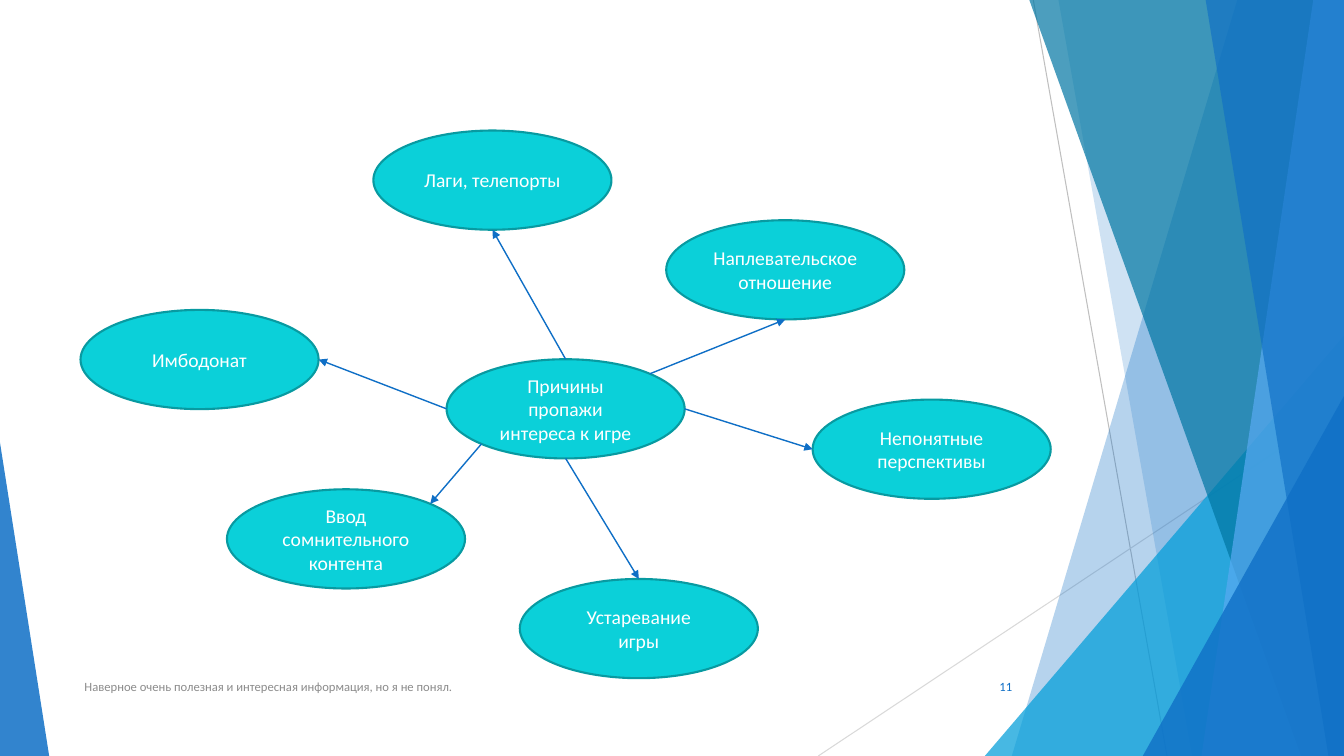
from dataclasses import dataclass
from math import cos, radians, sin

from lxml import etree
from pptx import Presentation
from pptx.dml.color import RGBColor
from pptx.enum.shapes import MSO_CONNECTOR, MSO_SHAPE
from pptx.enum.text import MSO_ANCHOR, PP_ALIGN
from pptx.oxml.ns import qn
from pptx.util import Cm, Pt

SLIDE_W, SLIDE_H = 33.87, 19.05
OVAL_W, OVAL_H = 6.0, 2.5
GRID_X, GRID_Y = 2.03, 3.29
STEP_X, STEP_Y = 3.69, 2.26
FONT = "Calibri"
BLUE = "0F6FC6"
TOP, LEFT, BOTTOM_LEFT, BOTTOM, RIGHT, TOP_RIGHT = 0, 2, 3, 4, 6, 7


@dataclass
class Panel:
    top_x: float
    bottom_x: float
    color: str
    opacity: int


@dataclass
class Wedge:
    left: float
    top: float
    width: float
    apex: int
    color: str
    opacity: int


@dataclass
class Bubble:
    text: str
    column: float
    row: float
    exit_site: int = 0
    entry_site: int = 0

    @property
    def left(self) -> float:
        return GRID_X + STEP_X * self.column

    @property
    def top(self) -> float:
        return GRID_Y + STEP_Y * self.row

    def site(self, index: int) -> tuple[float, float]:
        angle = radians(90 + 45 * index)
        return (self.left + OVAL_W / 2 * (1 + cos(angle)),
                self.top + OVAL_H / 2 * (1 - sin(angle)))


BACKDROP = [
    Panel(31.19, 25.5, BLUE, 30),
    Panel(26.67, 30.05, BLUE, 20),
    Wedge(24.82, 8.46, 9.05, 1, "009DD9", 72),
    Panel(25.93, 32.79, "0076A3", 70),
    Panel(33.1, 30.28, "59AAF2", 70),
    Panel(30.38, 33.48, BLUE, 65),
    Wedge(28.8, 9.98, 5.07, 1, BLUE, 80),
    Wedge(0, 11.15, 1.24, 0, BLUE, 85),
]

CENTER = Bubble("Причины пропажи интереса к игре", 2.5, 2.55)
REASONS = [
    Bubble("Имбодонат", 0, 2, LEFT, RIGHT),
    Bubble("Лаги, телепорты", 2, 0, TOP, BOTTOM),
    Bubble("Наплевательское отношение", 4, 1, TOP_RIGHT, BOTTOM),
    Bubble("Ввод сомнительного контента", 1, 4, BOTTOM_LEFT, TOP_RIGHT),
    Bubble("Устаревание игры", 3, 5, BOTTOM, TOP),
    Bubble("Непонятные перспективы", 5, 3, RIGHT, LEFT),
]


def rgb(color: str) -> RGBColor:
    return RGBColor.from_string(color)


def fill_shape(shape, color: str, opacity: int = 100) -> None:
    shape.shadow.inherit = False
    shape.fill.solid()
    shape.fill.fore_color.rgb = rgb(color)
    if opacity < 100:
        tint = shape._element.spPr.find(f".//{qn('a:srgbClr')}")
        etree.SubElement(tint, qn("a:alpha"), val=str(opacity * 1000))


def write_text(shape, text: str, size: float, color: str, align: PP_ALIGN) -> None:
    frame = shape.text_frame
    frame.word_wrap = True
    frame.vertical_anchor = MSO_ANCHOR.MIDDLE
    paragraph = frame.paragraphs[0]
    paragraph.alignment = align
    run = paragraph.add_run()
    run.text = text
    run.font.name = FONT
    run.font.size = Pt(size)
    run.font.color.rgb = rgb(color)


def draw_line(shapes, start: tuple, end: tuple, color: str, width: float):
    line = shapes.add_connector(MSO_CONNECTOR.STRAIGHT, *map(Cm, start + end))
    line.line.color.rgb = rgb(color)
    line.line.width = Pt(width)
    etree.SubElement(line._element.spPr, qn("a:effectLst"))
    return line


def draw_panel(shapes, panel: Panel) -> None:
    top = -0.03
    builder = shapes.build_freeform(Cm(panel.top_x), Cm(top))
    corners = [(SLIDE_W, top), (SLIDE_W, SLIDE_H), (panel.bottom_x, SLIDE_H)]
    builder.add_line_segments([(Cm(x), Cm(y)) for x, y in corners], close=True)
    shape = builder.convert_to_shape()
    fill_shape(shape, panel.color, panel.opacity)
    shape.line.fill.background()


def draw_wedge(shapes, wedge: Wedge) -> None:
    shape = shapes.add_shape(MSO_SHAPE.ISOSCELES_TRIANGLE, Cm(wedge.left), Cm(wedge.top),
                             Cm(wedge.width), Cm(SLIDE_H - wedge.top))
    shape.adjustments[0] = wedge.apex
    fill_shape(shape, wedge.color, wedge.opacity)
    shape.line.fill.background()


def draw_bubble(shapes, bubble: Bubble):
    oval = shapes.add_shape(MSO_SHAPE.OVAL, Cm(bubble.left), Cm(bubble.top),
                            Cm(OVAL_W), Cm(OVAL_H))
    fill_shape(oval, "0BD0D9")
    oval.line.color.rgb = rgb("089AA1")
    oval.line.width = Pt(1.5)
    write_text(oval, bubble.text, 14, "FFFFFF", PP_ALIGN.CENTER)
    return oval


def draw_arrow(shapes, reason: Bubble, center_oval, reason_oval) -> None:
    arrow = draw_line(shapes, CENTER.site(reason.exit_site),
                      reason.site(reason.entry_site), BLUE, 1)
    etree.SubElement(arrow.line._get_or_add_ln(), qn("a:tailEnd"), type="triangle")
    links = arrow._element.find(f".//{qn('p:cNvCxnSpPr')}")
    ends = [("a:stCxn", center_oval, reason.exit_site),
            ("a:endCxn", reason_oval, reason.entry_site)]
    for tag, oval, site in ends:
        etree.SubElement(links, qn(tag), id=str(oval.shape_id), idx=str(site))


def draw_note(shapes, left: float, width: float, text: str, color: str,
              align: PP_ALIGN) -> None:
    box = shapes.add_textbox(Cm(left), Cm(16.79), Cm(width), Cm(1.02))
    write_text(box, text, 9, color, align)


prs = Presentation()
prs.slide_width, prs.slide_height = Cm(SLIDE_W), Cm(SLIDE_H)
shapes = prs.slides.add_slide(prs.slide_layouts[6]).shapes

draw_line(shapes, (26.04, 0), (29.41, SLIDE_H), "BFBFBF", 0.75)
draw_line(shapes, (SLIDE_W, 10.24), (20.62, SLIDE_H), "D9D9D9", 0.75)
for piece in BACKDROP:
    if isinstance(piece, Panel):
        draw_panel(shapes, piece)
    else:
        draw_wedge(shapes, piece)

draw_note(shapes, 1.88, 17.5, "Наверное очень полезная и интересная информация, но я не понял.",
          "8C8C8C", PP_ALIGN.LEFT)
draw_note(shapes, 23.85, 1.91, "11", BLUE, PP_ALIGN.RIGHT)

reason_ovals = [draw_bubble(shapes, reason) for reason in REASONS]
center_oval = draw_bubble(shapes, CENTER)
for reason, oval in zip(REASONS, reason_ovals):
    draw_arrow(shapes, reason, center_oval, oval)

prs.save("out.pptx")
